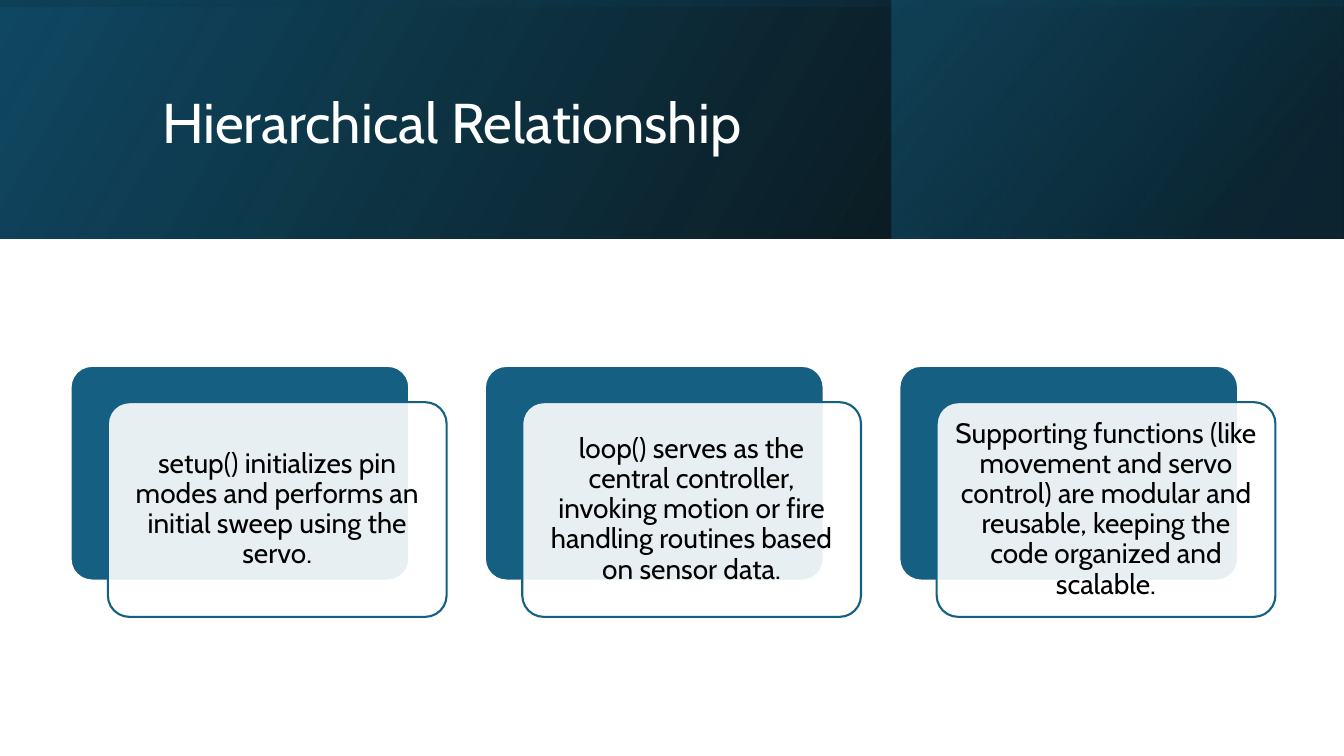
from lxml import etree
from pptx import Presentation
from pptx.dml.color import RGBColor
from pptx.enum.shapes import MSO_SHAPE
from pptx.enum.text import MSO_ANCHOR, PP_ALIGN
from pptx.oxml.ns import qn
from pptx.util import Inches, Pt

RECTANGLE, ROUNDED = MSO_SHAPE.RECTANGLE, MSO_SHAPE.ROUNDED_RECTANGLE
MIDDLE, LEFT, CENTER = MSO_ANCHOR.MIDDLE, PP_ALIGN.LEFT, PP_ALIGN.CENTER

TITLE = "Hierarchical Relationship"
CARDS = [
    "setup() initializes pin modes and performs an initial sweep using the servo.",
    "loop() serves as the central controller, invoking motion or fire handling "
    "routines based on sensor data.",
    "Supporting functions (like movement and servo control) are modular and "
    "reusable, keeping the code organized and scalable.",
]
# box, rotation, gradient angle, stops of (position %, colour, opacity %)
BANNER = [
    ((0, 0, 13.33, 2.37), 0, 330, [(0, "000000", 96), (100, "104862", 100)]),
    ((8.84, 0, 4.48, 2.37), 0, 320, [(19, "0B3041", 68), (100, "156082", 48)]),
    ((5.48, -5.48, 2.37, 13.33), 270, 350, [(23, "104862", 16), (99, "000000", 45)]),
]
BLUE, WHITE, BLACK = "156082", "FFFFFF", "000000"
FONT = "Cabin"
CARD_LEFT, CARD_TOP, CARD_WIDTH, CARD_HEIGHT = 0.7, 3.63, 3.36, 2.13
CARD_PITCH = 4.11
FRONT_DX, FRONT_DY = 0.37, 0.36


def color(hex_text):
    return RGBColor.from_string(hex_text)


def add_shape(kind, box):
    shape = slide.shapes.add_shape(kind, *map(Inches, box))
    shape.shadow.inherit = False
    return shape


def set_opacity(color_element, percent):
    etree.SubElement(color_element, qn("a:alpha"), val=str(percent * 1000))


def add_banner_layer(box, rotation, angle, stops):
    """Add a mirrored rectangle with a translucent linear gradient."""
    shape = add_shape(RECTANGLE, box)
    shape.rotation = rotation
    shape.line.fill.background()
    properties = shape._element.spPr
    properties.find(qn("a:xfrm")).set("flipH", "1")
    gradient = etree.Element(qn("a:gradFill"), rotWithShape="1")
    stop_list = etree.SubElement(gradient, qn("a:gsLst"))
    for position, hex_text, opacity in stops:
        stop = etree.SubElement(stop_list, qn("a:gs"), pos=str(position * 1000))
        set_opacity(etree.SubElement(stop, qn("a:srgbClr"), val=hex_text), opacity)
    etree.SubElement(gradient, qn("a:lin"), ang=str(angle * 60000), scaled="0")
    properties.find(qn("a:prstGeom")).addnext(gradient)


def write(shape, text, size, hex_text, alignment):
    frame = shape.text_frame
    frame.word_wrap = True
    frame.vertical_anchor = MIDDLE
    paragraph = frame.paragraphs[0]
    paragraph.text = text
    paragraph.alignment = alignment
    paragraph.line_spacing = 0.9
    font = paragraph.runs[0].font
    for name, value in {"name": FONT, "size": Pt(size)}.items():
        setattr(font, name, value)
    font.color.rgb = color(hex_text)


def add_card(left, top, fill, line):
    shape = add_shape(ROUNDED, (left, top, CARD_WIDTH, CARD_HEIGHT))
    shape.adjustments[0] = 0.1
    shape.fill.solid()
    shape.fill.fore_color.rgb = color(fill)
    shape.line.color.rgb = color(line)
    shape.line.width = Pt(1.5)
    return shape


presentation = Presentation()
presentation.slide_width, presentation.slide_height = Inches(13.33), Inches(7.5)
slide = presentation.slides.add_slide(presentation.slide_layouts[6])

for layer in BANNER:
    add_banner_layer(*layer)
title = slide.shapes.add_textbox(*map(Inches, (1.51, 0.38, 10.63, 1.72)))
write(title, TITLE, 40, WHITE, LEFT)

for index, text in enumerate(CARDS):
    left = CARD_LEFT + index * CARD_PITCH
    add_card(left, CARD_TOP, BLUE, WHITE)
    front = add_card(left + FRONT_DX, CARD_TOP + FRONT_DY, WHITE, BLUE)
    set_opacity(front._element.spPr.find(qn("a:solidFill"))[0], 90)
    for side in ("left", "top", "right", "bottom"):
        setattr(front.text_frame, f"margin_{side}", Inches(0.08))
    write(front, text, 20, BLACK, CENTER)
    front.text_frame.paragraphs[0].space_after = Pt(7)

presentation.save("out.pptx")
